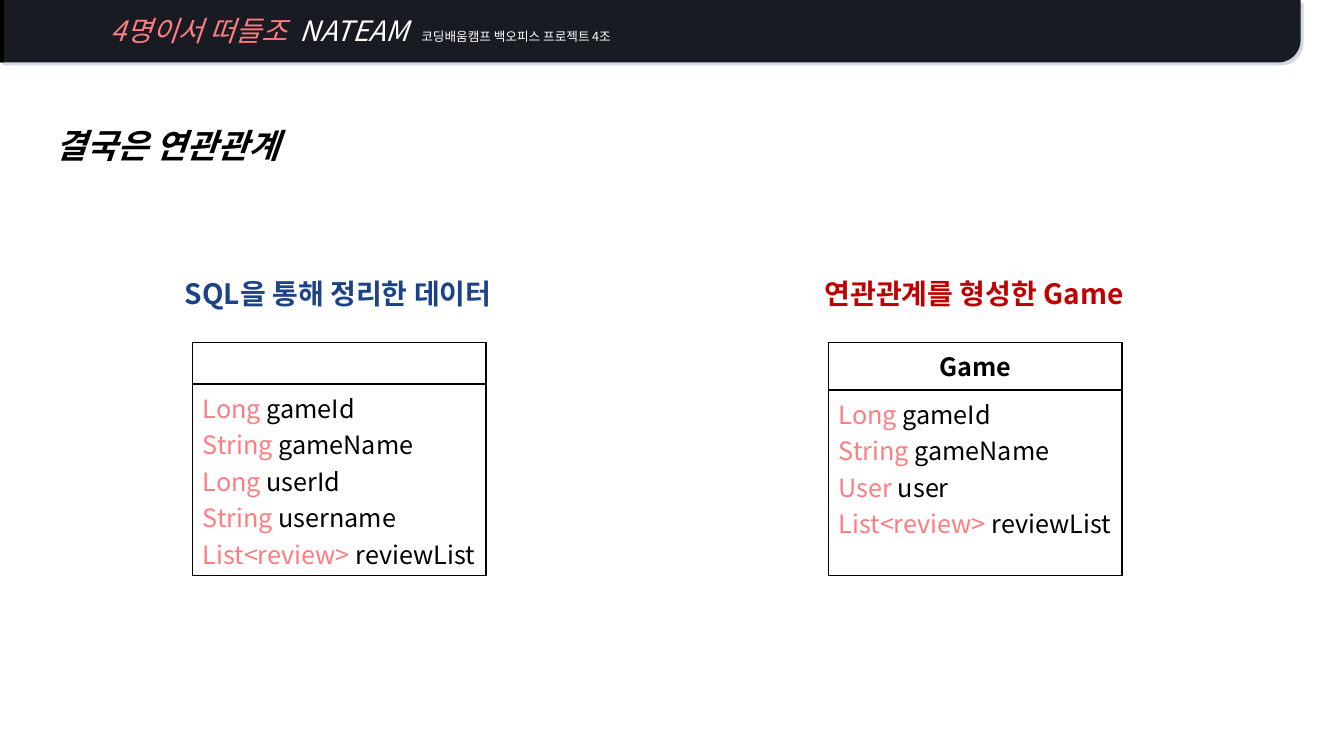
from lxml.etree import SubElement as Sub
from pptx import Presentation
from pptx.dml.color import RGBColor as RGB
from pptx.enum.shapes import MSO_SHAPE as Shape
from pptx.enum.text import MSO_ANCHOR as Anchor, MSO_AUTO_SIZE as Fit, PP_ALIGN as Align
from pptx.oxml.ns import qn
from pptx.util import Inches, Pt

WIDE, HIGH = Inches(13.33), Inches(7.5)
FONT = "Noto Sans CJK KR"
BLACK, WHITE, PINK, NAVY, RED, DARK = "000000", "FFFFFF", "FF7C80", "1C4289", "C00000", "181B22"
LEFT, STEP, INDENT = 10.28, 47.32, 4.05
PANELS = [
    ("SQL을 통해 정리한 데이터", NAVY, "", (5.47, 25.33),
     ["Long gameId", "String gameName", "Long userId", "String username",
      "List<review> reviewList"]),
    ("연관관계를 형성한 Game", RED, "Game", (6.27, 24.53),
     ["Long gameId", "String gameName", "User user", "List<review> reviewList"]),
]


def across(share):
    return round(WIDE * share / 100)


def down(share):
    return round(HIGH * share / 100)


def area(x, y, w, h):
    return across(x), down(y), across(w), down(h)


def paint(color, code):
    color.rgb = RGB.from_string(code)


def style(run, size, code, bold=False, italic=False):
    font = run.font
    font.name, font.size, font.bold, font.italic = FONT, Pt(size), bold, italic
    font.fill.solid()
    paint(font.fill.fore_color, code)
    Sub(font._element, qn("a:ea")).set("typeface", FONT)


def add_text(slide, place):
    frame = slide.shapes.add_textbox(*area(*place)).text_frame
    frame.word_wrap = True
    frame.auto_size = Fit.SHAPE_TO_FIT_TEXT
    return frame.paragraphs[0]


def add_block(slide, kind, place, code):
    block = slide.shapes.add_shape(kind, *area(*place))
    block.shadow.inherit = False
    block.fill.solid()
    paint(block.fill.fore_color, code)
    block.line.fill.background()
    return block


def add_shade(block, code):
    glow = Sub(block._element.spPr.find(qn("a:effectLst")), qn("a:outerShdw"),
               dist=str(Pt(3)), dir="2700000", algn="tl", rotWithShape="0")
    tint = Sub(glow, qn("a:srgbClr"), val=code)
    Sub(tint, qn("a:alpha"), val="20000")


def add_bar(slide):
    bar = add_block(slide, Shape.ROUND_1_RECTANGLE, (0, 0, 96.77, 8.27), DARK)
    bar.adjustments[0] = 0.36
    bar._element.spPr.xfrm.set("flipV", "1")
    add_shade(bar, NAVY)
    add_block(slide, Shape.RECTANGLE, (0, 0, 0.3, 8.27), BLACK)
    para = add_text(slide, (7.5, 1.07, 57.15, 5.87))
    for text, size, code, italic in [
            ("4명이서 떠들조 ", 20, PINK, True),
            (" NATEAM  ", 20, WHITE, True),
            ("코딩배움캠프 백오피스 프로젝트 4조", 9, WHITE, False)]:
        run = para.add_run()
        run.text = text
        style(run, size, code, italic=italic)


def add_title(slide, text):
    title = slide.shapes.title
    title.left, title.top, title.width, title.height = area(1.95, 15.87, 87, 6.67)
    frame = title.text_frame
    frame.text = text
    frame.vertical_anchor = Anchor.TOP
    frame.auto_size = Fit.SHAPE_TO_FIT_TEXT
    para = frame.paragraphs[0]
    para.alignment = Align.LEFT
    props = para._p.get_or_add_pPr()
    props.set("marL", str(Inches(0.19)))
    props.set("indent", "0")
    style(para.runs[0], 24, BLACK, True, True)


def add_edges(cell):
    props = cell._tc.get_or_add_tcPr()
    for spot, side in enumerate(("lnL", "lnR", "lnT", "lnB")):
        line = props.makeelement(qn(f"a:{side}"), {"w": str(Pt(1))})
        Sub(Sub(line, qn("a:solidFill")), qn("a:srgbClr"), val=BLACK)
        props.insert(spot, line)


def add_fields(cell, fields):
    frame = cell.text_frame
    for spot, field in enumerate(fields):
        para = frame.add_paragraph() if spot else frame.paragraphs[0]
        kind, name = field.split()
        for text, code in ((kind + " ", PINK), (name, BLACK)):
            run = para.add_run()
            run.text = text
            style(run, 18, code)


def add_table(slide, x, name, rows, fields):
    grid = slide.shapes.add_table(2, 1, *area(x, 45.33, 21.83, sum(rows))).table
    grid.first_row = grid.horz_banding = False
    for row, share in zip(grid.rows, rows):
        row.height = down(share)
    for cell in grid.iter_cells():
        cell.fill.solid()
        paint(cell.fill.fore_color, WHITE)
        add_edges(cell)
    head, body = grid.iter_cells()
    if name:
        head.text_frame.text = name
        para = head.text_frame.paragraphs[0]
        para.alignment = Align.CENTER
        style(para.runs[0], 18, BLACK, True)
    add_fields(body, fields)


def add_panel(slide, x, label, code, name, rows, fields):
    para = add_text(slide, (x, 33.73, 29.78, 7.2))
    para.text = label
    para.alignment = Align.CENTER
    para.line_spacing = 1.5
    style(para.runs[0], 20, code, True)
    add_table(slide, x + INDENT, name, rows, fields)


def main():
    deck = Presentation()
    deck.slide_width, deck.slide_height = WIDE, HIGH
    slide = deck.slides.add_slide(deck.slide_layouts[5])
    add_title(slide, "결국은 연관관계")
    for spot, panel in enumerate(PANELS):
        add_panel(slide, LEFT + spot * STEP, *panel)
    add_bar(slide)
    deck.save("out.pptx")


if __name__ == "__main__":
    main()
